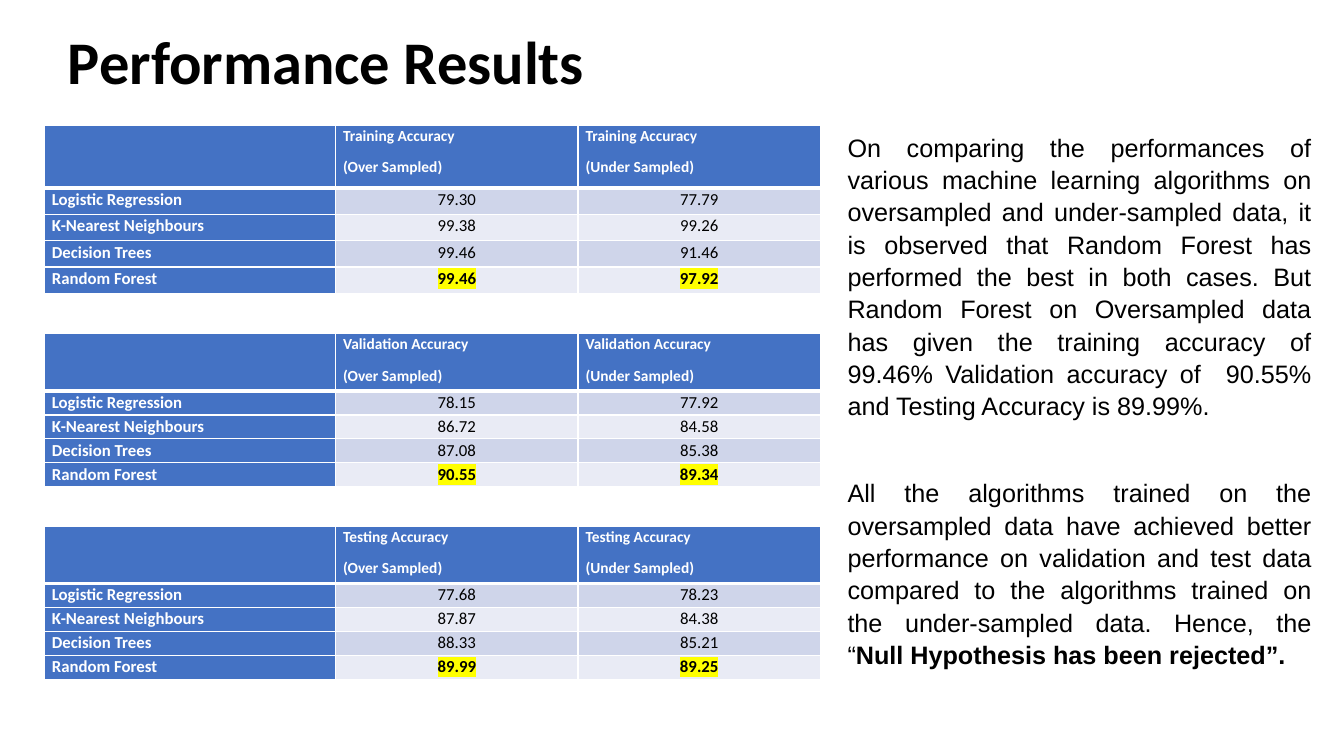
from lxml.etree import SubElement
from pptx import Presentation
from pptx.dml.color import RGBColor
from pptx.enum.text import MSO_ANCHOR, MSO_AUTO_SIZE, PP_ALIGN
from pptx.oxml.ns import qn
from pptx.util import Pt

BLACK = RGBColor(0x00, 0x00, 0x00)
WHITE = RGBColor(0xFF, 0xFF, 0xFF)
BLUE = RGBColor(0x44, 0x72, 0xC4)
BANDS = (RGBColor(0xCF, 0xD5, 0xEA), RGBColor(0xE9, 0xEB, 0xF5))
YELLOW = RGBColor(0xFF, 0xFF, 0x00)

TITLE = "Performance Results"
SAMPLINGS = ("(Over Sampled)", "(Under Sampled)")
ALGORITHMS = ("Logistic Regression", "K-Nearest Neighbours",
              "Decision Trees", "Random Forest")
BEST = "Random Forest"
# measure, top, header height, row height, (over, under) for each algorithm
RESULTS = [
    ("Training Accuracy", 89.3, 45.2, 18.75,
     [("79.30", "77.79"), ("99.38", "99.26"), ("99.46", "91.46"), ("99.46", "97.92")]),
    ("Validation Accuracy", 238.3, 41, 17.1,
     [("78.15", "77.92"), ("86.72", "84.58"), ("87.08", "85.38"), ("90.55", "89.34")]),
    ("Testing Accuracy", 375.8, 41, 17.1,
     [("77.68", "78.23"), ("87.87", "84.38"), ("88.33", "85.21"), ("89.99", "89.25")]),
]
# space after, then (text, bold) runs
CONCLUSIONS = [
    (39, [("On comparing the performances of various machine learning algorithms on "
           "oversampled and under-sampled data, it is observed that Random Forest has "
           "performed the best in both cases. But Random Forest on Oversampled data has "
           "given the training accuracy of 99.46% Validation accuracy of  90.55% and "
           "Testing Accuracy is 89.99%.", False)]),
    (8, [("All the algorithms trained on the oversampled data have achieved better "
          "performance on validation and test data compared to the algorithms trained on "
          "the under-sampled data. Hence, the “", False),
         ("Null Hypothesis has been rejected”.", True)]),
]
TABLE_LEFT = 31.7
COLUMN_WIDTHS = (208, 173.2, 173.2)


def add_run(paragraph, text, size, color, bold=False, font="Calibri", highlight=None):
    """Append one formatted run."""
    run = paragraph.add_run()
    run.text = text
    run.font.size, run.font.bold = Pt(size), bold
    run.font.color.rgb = color
    if highlight is not None:
        marker = SubElement(run._r.get_or_add_rPr(), qn("a:highlight"))
        SubElement(marker, qn("a:srgbClr"), val=str(highlight))
    run.font.name = font


def space_paragraph(paragraph, align, after=8):
    """Set alignment and the slide's common line spacing."""
    paragraph.alignment = align
    paragraph.line_spacing = 1.07
    paragraph.space_after = Pt(after)


def style_cell(cell, fill, top=1, bottom=1):
    """Give a cell its margins, white borders and fill."""
    cell.margin_left = cell.margin_right = Pt(5.4)
    cell.margin_top = cell.margin_bottom = 0
    properties = cell._tc.get_or_add_tcPr()
    for side, width in (("L", 1), ("R", 1), ("T", top), ("B", bottom)):
        border = SubElement(properties, qn("a:ln" + side), w=str(Pt(width)))
        solid = SubElement(border, qn("a:solidFill"))
        SubElement(solid, qn("a:srgbClr"), val=str(WHITE))
    cell.fill.solid()
    cell.fill.fore_color.rgb = fill


def fill_header(table, measure):
    """Write the two-line column headings."""
    for column, lines in enumerate([(), *((measure, name) for name in SAMPLINGS)]):
        cell = table.cell(0, column)
        style_cell(cell, BLUE, bottom=3)
        for index, line in enumerate(lines):
            frame = cell.text_frame
            paragraph = frame.add_paragraph() if index else frame.paragraphs[0]
            space_paragraph(paragraph, PP_ALIGN.LEFT)
            add_run(paragraph, line, 11, WHITE, True)


def fill_row(table, row, algorithm, scores):
    """Write one algorithm and its scores, marking the best algorithm."""
    best = algorithm == BEST
    for column, text in enumerate((algorithm, *scores)):
        cell = table.cell(row, column)
        paragraph = cell.text_frame.paragraphs[0]
        top = 3 if row == 1 else 1
        if column == 0:
            style_cell(cell, BLUE, top)
            space_paragraph(paragraph, PP_ALIGN.JUSTIFY)
            add_run(paragraph, text, 12, WHITE, True)
        else:
            style_cell(cell, BANDS[(row - 1) % 2], top)
            space_paragraph(paragraph, PP_ALIGN.CENTER)
            add_run(paragraph, text, 12, BLACK, best, highlight=YELLOW if best else None)


def add_results(slide, measure, top, header_height, row_height, scores):
    """Add one accuracy table."""
    heights = [header_height] + [row_height] * len(ALGORITHMS)
    table = slide.shapes.add_table(
        len(heights), len(COLUMN_WIDTHS), Pt(TABLE_LEFT), Pt(top),
        Pt(sum(COLUMN_WIDTHS)), Pt(sum(heights))).table
    for column, width in zip(table.columns, COLUMN_WIDTHS):
        column.width = Pt(width)
    for row, height in zip(table.rows, heights):
        row.height = Pt(height)
    fill_header(table, measure)
    for row, (algorithm, pair) in enumerate(zip(ALGORITHMS, scores), start=1):
        fill_row(table, row, algorithm, pair)


def add_title(slide):
    """Place and format the title placeholder."""
    title = slide.shapes.title
    title.left, title.top, title.width, title.height = Pt(26), Pt(19.4), Pt(414), Pt(53.3)
    frame = title.text_frame
    frame.auto_size = MSO_AUTO_SIZE.NONE
    frame.vertical_anchor = MSO_ANCHOR.MIDDLE
    paragraph = frame.paragraphs[0]
    paragraph.alignment, paragraph.line_spacing = PP_ALIGN.CENTER, 0.9
    add_run(paragraph, TITLE, 43.2, BLACK, True)


def add_conclusions(slide):
    """Add the justified text to the right of the tables."""
    frame = slide.shapes.add_textbox(Pt(598.3), Pt(89.3), Pt(345.6), Pt(427)).text_frame
    frame.word_wrap = True
    for index, (after, runs) in enumerate(CONCLUSIONS):
        paragraph = frame.add_paragraph() if index else frame.paragraphs[0]
        space_paragraph(paragraph, PP_ALIGN.JUSTIFY, after)
        for text, bold in runs:
            add_run(paragraph, text, 18, BLACK, bold, "Arial")


presentation = Presentation()
presentation.slide_width, presentation.slide_height = Pt(960), Pt(540)
slide = presentation.slides.add_slide(presentation.slide_layouts[5])
add_title(slide)
for result in RESULTS:
    add_results(slide, *result)
add_conclusions(slide)
presentation.save("out.pptx")
